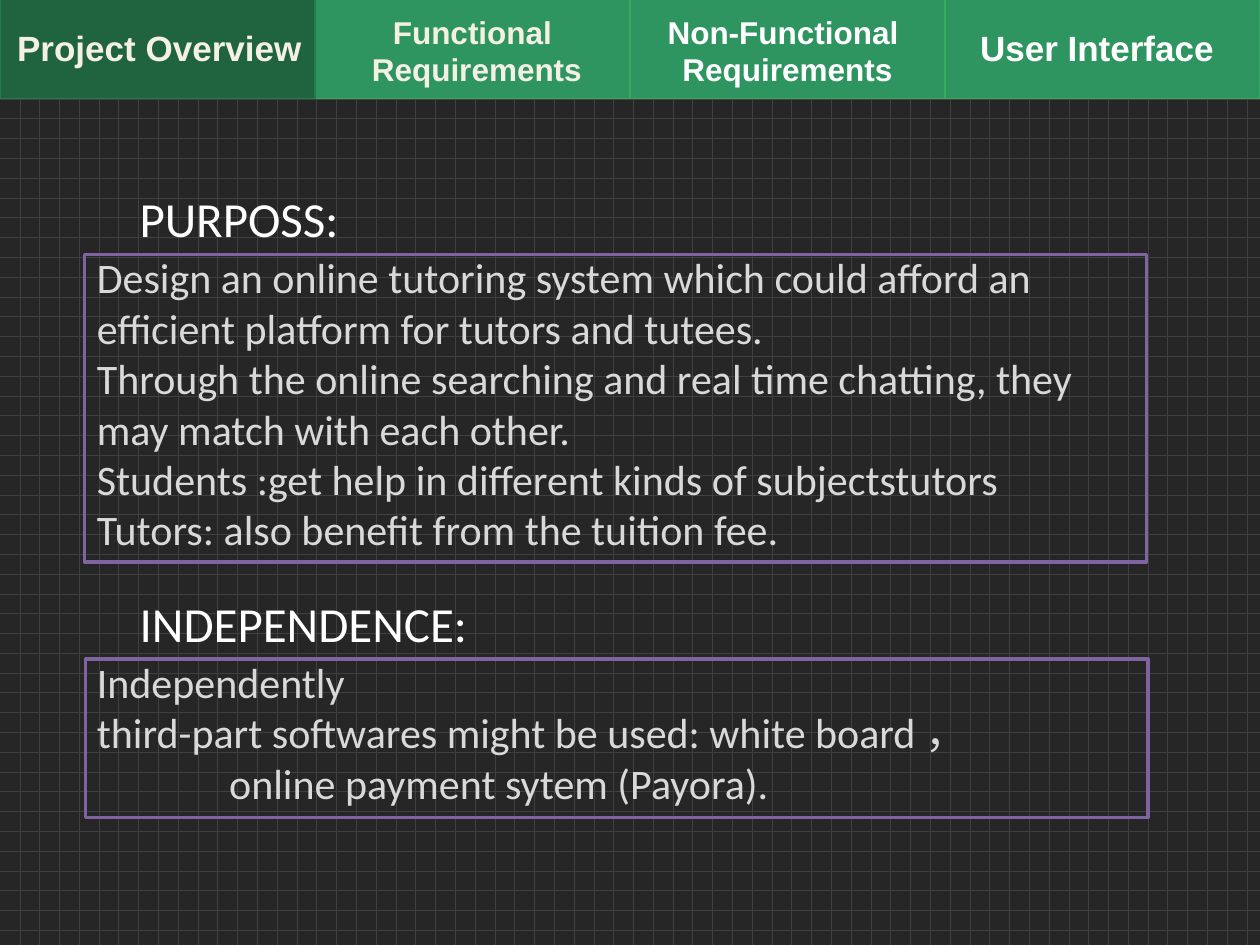
from pptx import Presentation
from pptx.dml.color import RGBColor
from pptx.enum.dml import MSO_PATTERN
from pptx.enum.shapes import MSO_SHAPE
from pptx.enum.text import PP_ALIGN
from pptx.util import Inches, Pt

GRID = MSO_PATTERN.DOTTED_GRID
RECT = MSO_SHAPE.RECTANGLE
FRAME = MSO_SHAPE.FLOWCHART_PROCESS
LEFT, MID = PP_ALIGN.LEFT, PP_ALIGN.CENTER
WIDE, HIGH = 10, 7.5
COL = WIDE / 4
CREAM, WHITE, GREY = "F4F1E3", "FFFFFF", "D9D9D9"

TABS = [
    (["Project Overview"], 20, CREAM, MID, -0.42, 3.37),
    (["Functional ", "Requirements"], 18, CREAM, MID, 2.1, 3.37),
    (["Non-Functional ", "Requirements"], 18, WHITE, MID, 3.75, 5),
    (["User Interface"], 20, WHITE, LEFT, 7.68, 2.2),
]
PARTS = [
    ("PURPOSS:", 1.45, 0.67, 2.44, [
        ("Design an online tutoring system which could afford an efficient "
         "platform for tutors and tutees.", 0),
        ("Through the online searching and real time chatting, they may "
         "match with each other.", 0),
        ("Students :get help in different kinds of subjectstutors Tutors: "
         "also benefit from the tuition fee.", 0)]),
    ("INDEPENDENCE:", 4.66, 0.68, 1.26, [
        ("Independently", 0),
        ("third-part softwares might be used: white board ，", 0),
        ("online payment sytem (Payora).", 1.05)]),
]


def tint(code):
    """Turn a hex string into a colour."""
    return RGBColor.from_string(code)


def add_box(slide, kind, area, fill, line, width):
    """Draw an outlined shape, filled when a fill is given."""
    box = slide.shapes.add_shape(kind, *map(Inches, area))
    box.shadow.inherit = False
    if fill:
        box.fill.solid()
        box.fill.fore_color.rgb = tint(fill)
    else:
        box.fill.background()
    box.line.color.rgb = tint(line)
    box.line.width = Pt(width)


def add_text(slide, area, lines, size, font, color, align=LEFT, bold=False):
    """Write (text, indent) lines as paragraphs in a text box."""
    frame = slide.shapes.add_textbox(*map(Inches, area)).text_frame
    frame.word_wrap = True
    for i, (text, indent) in enumerate(lines):
        para = frame.add_paragraph() if i else frame.paragraphs[0]
        para.alignment = align
        if indent:
            props = para._p.get_or_add_pPr()
            props.set("marL", str(Inches(indent)))
            props.set("indent", "0")
        run = para.add_run()
        run.text = text
        run.font.size = Pt(size)
        run.font.name = font
        run.font.bold = bold
        run.font.color.rgb = tint(color)


def add_tabs(slide):
    """Draw the row of tabs with the first one active."""
    for i in reversed(range(len(TABS))):
        fill, line = ("2F9560", "36AC58") if i else ("1F633F", "217D4B")
        add_box(slide, RECT, (i * COL, -0.01, COL, 0.79), fill, line, 0.75)
    for lines, size, color, align, left, width in TABS:
        top, high = (0.16, 0.44) if len(lines) == 1 else (0.05, 0.71)
        add_text(slide, (left, top, width, high), [(t, 0) for t in lines],
                 size, "Arial", color, align, True)


def add_part(slide, head, top, left, high, lines):
    """Draw a heading above a framed block of text."""
    base = top + 0.57
    add_text(slide, (0.67, base - 0.07, 7.95, high), lines,
             24, "Calibri", GREY)
    add_box(slide, FRAME, (left, base, 8.43, high), None, "8064A2", 2)
    add_text(slide, (1.01, top, 3.46, 0.57), [(head, 0)],
             28, "Calibri", WHITE)


def main():
    """Build the slide and save it."""
    deck = Presentation()
    deck.slide_width, deck.slide_height = Inches(WIDE), Inches(HIGH)
    slide = deck.slides.add_slide(deck.slide_layouts[6])
    fill = slide.background.fill
    fill.patterned()
    fill.pattern = GRID
    fill.fore_color.rgb = tint("404040")
    fill.back_color.rgb = tint("262626")
    add_tabs(slide)
    for part in PARTS:
        add_part(slide, *part)
    deck.save("out.pptx")


if __name__ == "__main__":
    main()
